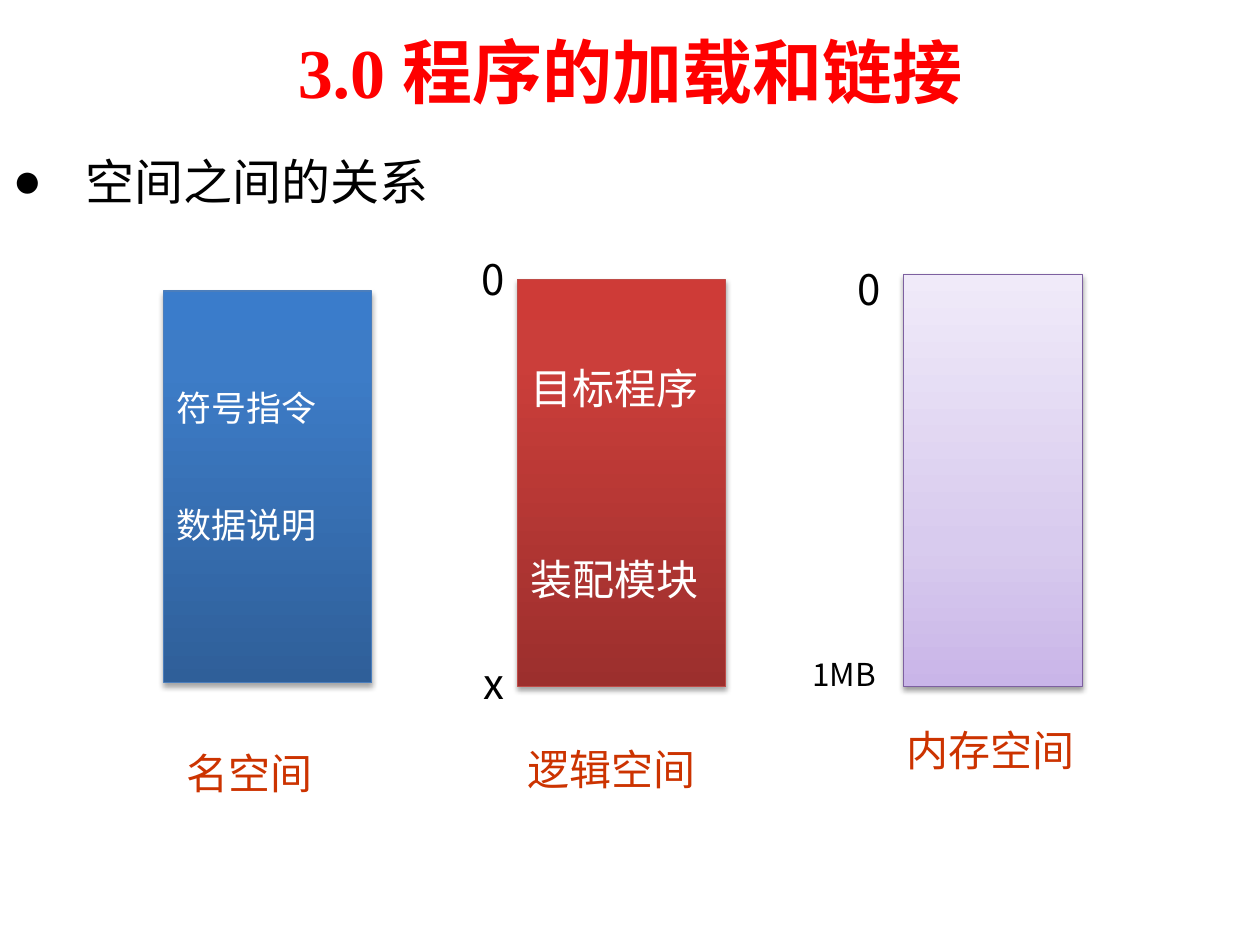
from copy import deepcopy

from lxml import etree
from pptx import Presentation
from pptx.dml.color import RGBColor
from pptx.enum import shapes, text
from pptx.oxml.ns import qn
from pptx.util import Inches, Pt

RED = RGBColor(0xFE, 0x00, 0x00)
ORANGE = RGBColor(0xCC, 0x33, 0x00)
BLACK = RGBColor(0x00, 0x00, 0x00)
WHITE = RGBColor(0xFF, 0xFF, 0xFF)
BLUE_LINE = RGBColor(0x4B, 0x7E, 0xBC)
BLUE_STOPS = [(0, RGBColor(0x2F, 0x5F, 0x99)), (0.8, RGBColor(0x3D, 0x7C, 0xC7)),
              (1, RGBColor(0x3A, 0x7C, 0xCB))]
BRICK_LINE = RGBColor(0xBF, 0x4C, 0x48)
BRICK_STOPS = [(0, RGBColor(0x9C, 0x2F, 0x2D)), (0.8, RGBColor(0xCB, 0x3E, 0x3A)),
               (1, RGBColor(0xCE, 0x3B, 0x37))]
PURPLE_LINE = RGBColor(0x7D, 0x60, 0xA0)
PURPLE_STOPS = [(0, RGBColor(0xC9, 0xB5, 0xE8)), (0.35, RGBColor(0xD8, 0xCB, 0xEE)),
                (1, RGBColor(0xF0, 0xEA, 0xF9))]
CJK = "Noto Sans CJK SC"


def place(sp, box):
    sp.left, sp.top, sp.width, sp.height = (Inches(v) for v in box)


def write(p, words, size, color=BLACK, font=CJK, bold=False, align=text.PP_ALIGN.LEFT):
    p.alignment = align
    r = p.add_run()
    r.text = words
    r.font.size, r.font.bold, r.font.name = Pt(size), bold, font
    r.font.color.rgb = color
    etree.SubElement(r._r.rPr, qn("a:ea"), typeface=CJK)


def add_title(slide, box):
    sp = slide.shapes.title
    place(sp, box)
    tf = sp.text_frame
    tf.auto_size = text.MSO_AUTO_SIZE.NONE
    tf.vertical_anchor = text.MSO_ANCHOR.MIDDLE
    write(tf.paragraphs[0], "3.0 程序的加载和链接", 40, RED, "Times New Roman", True,
          text.PP_ALIGN.CENTER)


def add_body(slide, box):
    sp = slide.placeholders[1]
    place(sp, box)
    tf = sp.text_frame
    tf.auto_size = text.MSO_AUTO_SIZE.NONE
    p = tf.paragraphs[0]
    pPr = p._p.get_or_add_pPr()
    pPr.set("marL", str(Inches(0.58)))
    pPr.set("indent", str(-Inches(0.58)))
    etree.SubElement(pPr, qn("a:buChar"), char="●")
    p.space_before = Pt(0)
    write(p, "空间之间的关系", 28)


def add_label(slide, words, box, size=24, color=BLACK, font=CJK):
    sp = slide.shapes.add_textbox(*(Inches(v) for v in box))
    write(sp.text_frame.paragraphs[0], words, size, color, font)


def fill_gradient(sp, stops):
    """Fill from bottom to top with three (position, colour) stops."""
    sp.fill.gradient()
    sp.fill.gradient_angle = 90
    gs_list = sp._element.spPr.find(".//" + qn("a:gsLst"))
    gs_list.append(deepcopy(gs_list[0]))
    for stop, (position, color) in zip(sp.fill.gradient_stops, stops):
        stop.position, stop.color.rgb = position, color


def add_shadow(sp, alpha, distance):
    sp.shadow.inherit = False
    effects = sp._element.spPr.find(qn("a:effectLst"))
    shadow = etree.SubElement(effects, qn("a:outerShdw"), blurRad=str(Pt(3.1)),
                              dist=str(Pt(distance)), dir="5400000", rotWithShape="0")
    color = etree.SubElement(shadow, qn("a:srgbClr"), val=str(BLACK))
    etree.SubElement(color, qn("a:alpha"), val=str(alpha * 1000))


def add_space(slide, box, stops, line, lines=(), size=20, font=CJK, gap=0, bottom=0.05,
              alpha=35, distance=1.8):
    """Draw one address space, with its lines of text kept gap points apart."""
    sp = slide.shapes.add_shape(shapes.MSO_SHAPE.RECTANGLE, *(Inches(v) for v in box))
    fill_gradient(sp, stops)
    sp.line.color.rgb, sp.line.width = line, Pt(0.75)
    add_shadow(sp, alpha, distance)
    tf = sp.text_frame
    tf.word_wrap = True
    tf.vertical_anchor = text.MSO_ANCHOR.MIDDLE
    tf.margin_bottom = Inches(bottom)
    for i, words in enumerate(lines):
        p = tf.add_paragraph() if i else tf.paragraphs[0]
        p.space_before = Pt(gap if i else 0)
        write(p, words, size, WHITE, font)


def add_name_space(slide, x, y):
    add_space(slide, (x, y, 1.65, 3.11), BLUE_STOPS, BLUE_LINE,
              ("符号指令", "数据说明"), gap=43, bottom=0.38)
    add_label(slide, "名空间", (x + 0.08, y + 3.57, 1.21, 0.51), 24, ORANGE, "Arial")


def add_logical_space(slide, x, y):
    add_space(slide, (x, y, 1.65, 3.23), BRICK_STOPS, BRICK_LINE,
              ("目标程序", "装配模块"), 24, "Arial", gap=80)
    add_label(slide, "逻辑空间", (x - 0.02, y + 3.63, 1.55, 0.51), 24, ORANGE, "Arial")
    add_label(slide, "0", (x - 0.39, y - 0.26, 0.39, 0.51))
    add_label(slide, "x", (x - 0.37, y + 2.95, 0.36, 0.51))


def add_memory_space(slide, x, y):
    add_space(slide, (x, y, 1.42, 3.27), PURPLE_STOPS, PURPLE_LINE, alpha=38, distance=1.6)
    add_label(slide, "内存空间", (x - 0.07, y + 3.52, 1.54, 0.51), 24, ORANGE, "Arial")
    add_label(slide, "0", (x - 0.46, y - 0.14, 0.39, 0.51))
    add_label(slide, "1MB", (x - 0.82, y + 2.97, 0.79, 0.41), 18)


def main():
    prs = Presentation()
    prs.slide_width, prs.slide_height = Inches(10), Inches(7.5)
    slide = prs.slides.add_slide(prs.slide_layouts[1])
    add_title(slide, (0.5, 0.05, 9, 1.02))
    add_body(slide, (0, 1.15, 9.06, 5.35))
    add_name_space(slide, 1.3, 2.31)
    add_logical_space(slide, 4.11, 2.22)
    add_memory_space(slide, 7.17, 2.18)
    prs.save("out.pptx")


if __name__ == "__main__":
    main()
